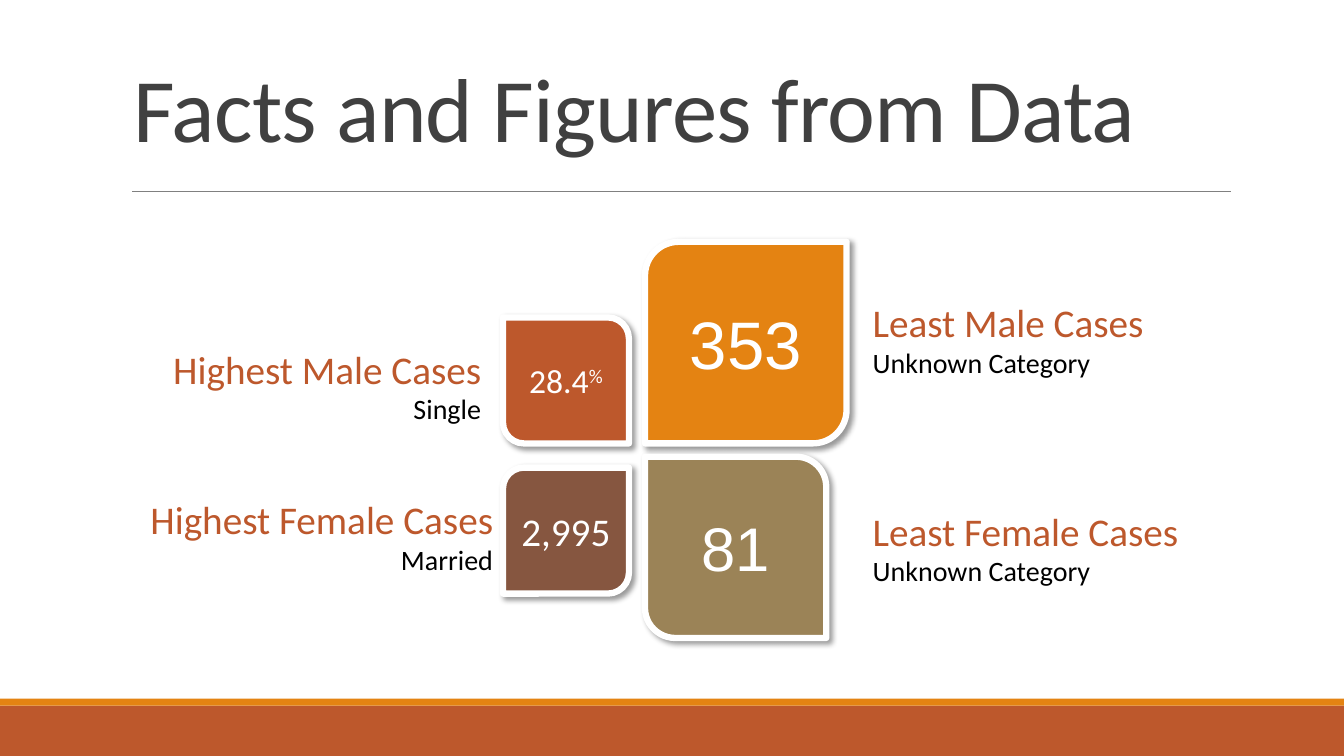
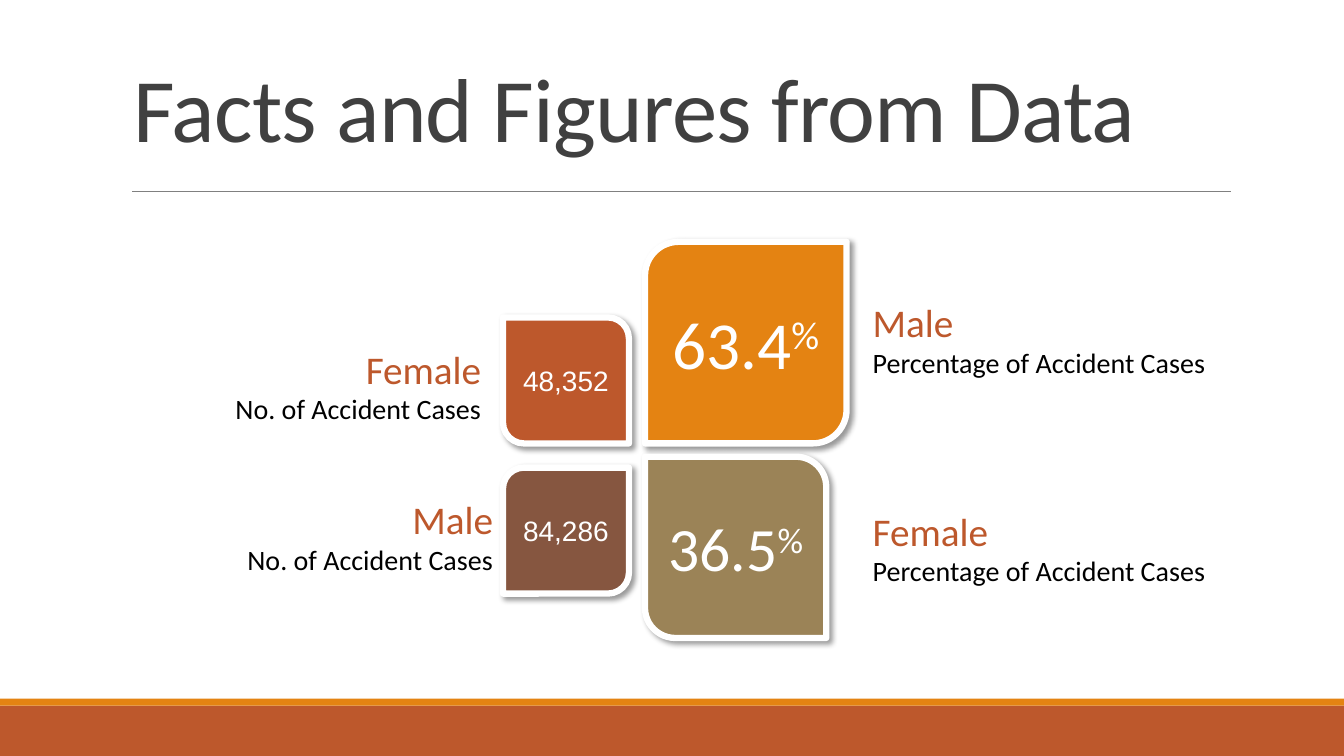
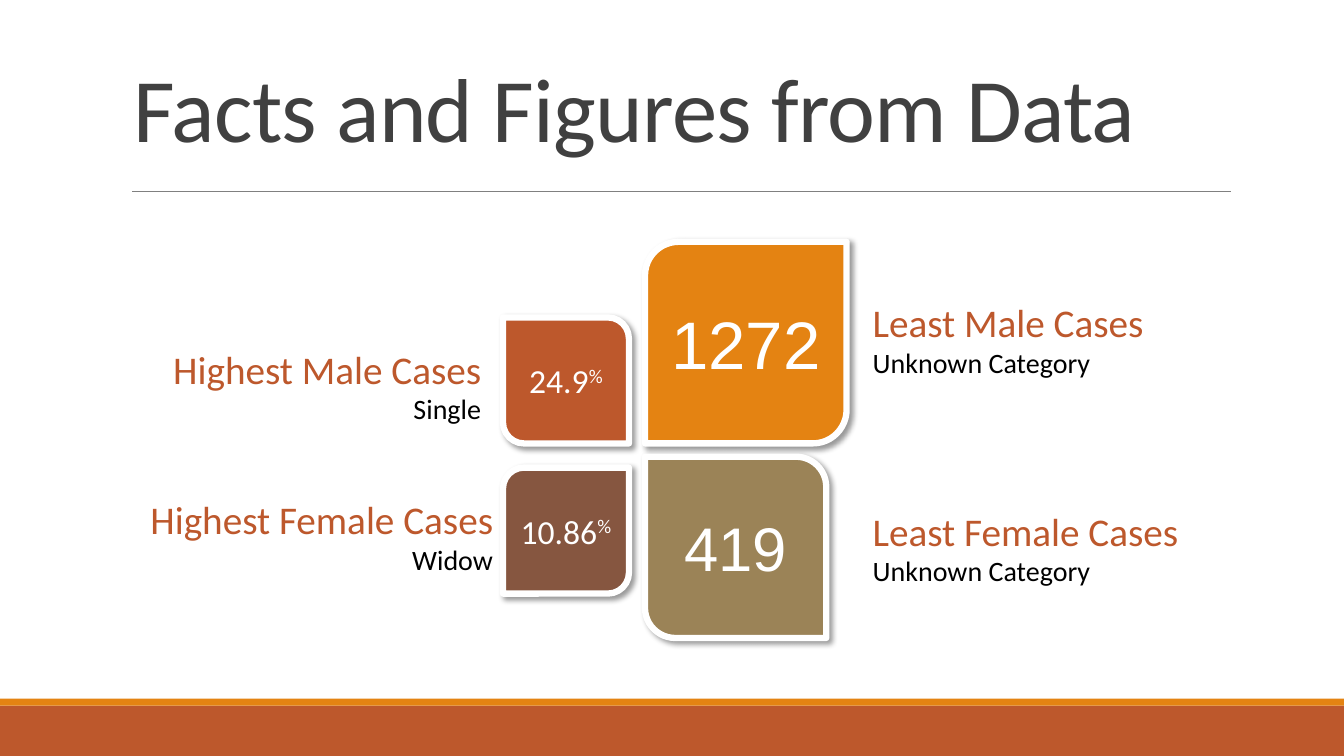
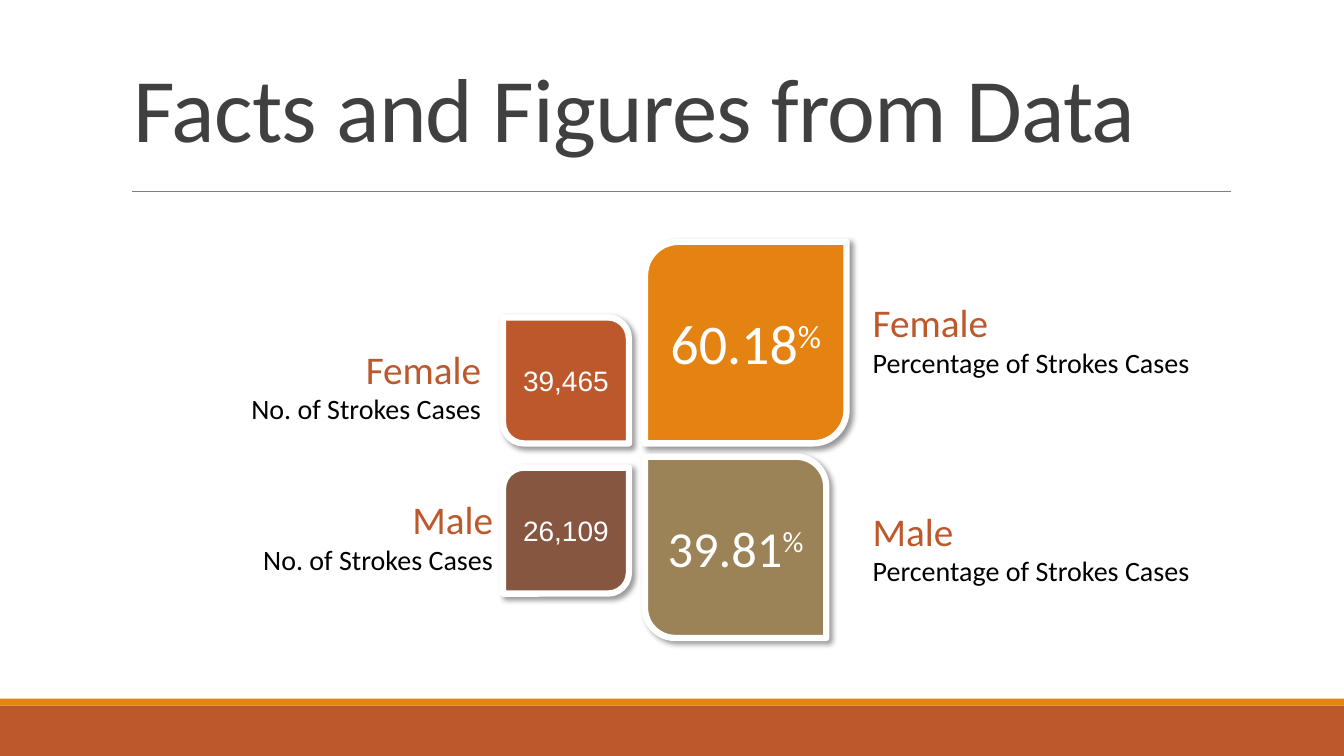
from lxml import etree
from pptx import Presentation
from pptx.dml.color import RGBColor
from pptx.enum.shapes import MSO_CONNECTOR, MSO_SHAPE
from pptx.enum.text import MSO_ANCHOR, MSO_AUTO_SIZE, PP_ALIGN
from pptx.oxml.ns import qn
from pptx.util import Pt

LEFT, MID, RIGHT = PP_ALIGN.LEFT, PP_ALIGN.CENTER, PP_ALIGN.RIGHT
LOW, CENTRE = MSO_ANCHOR.BOTTOM, MSO_ANCHOR.MIDDLE
FIXED, GROW = MSO_AUTO_SIZE.NONE, MSO_AUTO_SIZE.SHAPE_TO_FIT_TEXT
RECT, LEAF = MSO_SHAPE.RECTANGLE, MSO_SHAPE.ROUND_2_DIAG_RECTANGLE
STRAIGHT = MSO_CONNECTOR.STRAIGHT
SANS, PLAIN = "Calibri", "Arial"
WIDE, HIGH = 960, 540
CURVE = 0.167
LABEL_W, LABEL_H = 264, 65.5

COLORS = {
    "rust": "BD582C", "orange": "E48312", "brown": "865640", "tan": "9B8357",
    "white": "FFFFFF", "black": "000000", "dark": "404040", "grey": "808080",
}

# Tile: left, top, side, fill, mirrored; label: left, top, alignment
SPOTS = [
    ((359.25, 226.75, 90, "rust", True), (350.75 - LABEL_W, 242.75, RIGHT)),
    ((359.25, 334, 90, "brown", False), (359.25 - LABEL_W, 350, RIGHT)),
    ((460.75, 172.75, 144, "orange", False), (616.25, 209.5, LEFT)),
    ((460.75, 326.25, 129.5, "tan", True), (616.25, 358.5, LEFT)),
]

# Per slide, in the order of SPOTS: value, size, font, heading, note
TITLE = "Facts and Figures from Data"
SLIDES = [
    [("28.4%", 24, SANS, "Highest Male Cases", "Single"),
     ("2,995", 28, SANS, "Highest Female Cases", "Married"),
     ("353", 48, PLAIN, "Least Male Cases", "Unknown Category"),
     ("81", 44, PLAIN, "Least Female Cases", "Unknown Category")],
    [("48,352", 20, PLAIN, "Female", "No. of Accident Cases"),
     ("84,286", 20, PLAIN, "Male", "No. of Accident Cases"),
     ("63.4%", 48, SANS, "Male", "Percentage of Accident Cases"),
     ("36.5%", 44, SANS, "Female", "Percentage of Accident Cases")],
    [("24.9%", 24, SANS, "Highest Male Cases", "Single"),
     ("10.86%", 24, SANS, "Highest Female Cases", "Widow"),
     ("1272", 48, PLAIN, "Least Male Cases", "Unknown Category"),
     ("419", 44, PLAIN, "Least Female Cases", "Unknown Category")],
    [("39,465", 20, PLAIN, "Female", "No. of Strokes Cases"),
     ("26,109", 20, PLAIN, "Male", "No. of Strokes Cases"),
     ("60.18%", 40, SANS, "Female", "Percentage of Strokes Cases"),
     ("39.81%", 36, SANS, "Male", "Percentage of Strokes Cases")],
]


def tint(name):
    return RGBColor.from_string(COLORS[name])


def points(*nums):
    return [Pt(num) for num in nums]


def assign(item, **form):
    for key, val in form.items():
        setattr(item, key, val)


def cast(shape):
    """Give the shape a soft black shadow to the lower right."""
    shape.shadow.inherit = False
    fx = shape._element.spPr.find(qn("a:effectLst"))
    shade = etree.SubElement(
        fx, qn("a:outerShdw"), blurRad=str(Pt(4)), dist=str(Pt(3)),
        dir="2700000", algn="tl", rotWithShape="0")
    color = etree.SubElement(shade, qn("a:srgbClr"), val=COLORS["black"])
    etree.SubElement(color, qn("a:alpha"), val="40000")


class Deck:
    def __init__(self):
        self.prs = Presentation()
        assign(self.prs, slide_width=Pt(WIDE), slide_height=Pt(HIGH))

    def start(self, title):
        """Add a slide with its bands, rule and title."""
        self.slide = self.prs.slides.add_slide(self.prs.slide_layouts[5])
        self.band(504, 36, "rust")
        self.band(499, 5, "orange")
        self.rule(94.5, 879, 137)
        self.title(title)

    def add_text(self, par, text, size, color, font=SANS, **attrs):
        run = par.add_run()
        run.text = text
        assign(run.font, size=Pt(size), name=font, bold=False)
        run.font.color.rgb = tint(color)
        for key, val in attrs.items():
            run._r.get_or_add_rPr().set(key, val)

    def band(self, top, high, color):
        bar = self.slide.shapes.add_shape(RECT, *points(0, top, WIDE, high))
        bar.shadow.inherit = False
        bar.fill.solid()
        bar.fill.fore_color.rgb = tint(color)
        bar.line.fill.background()

    def rule(self, left, right, top):
        line = self.slide.shapes.add_connector(
            STRAIGHT, *points(left, top, right, top))
        line.line.color.rgb = tint("grey")
        line.line.width = Pt(0.5)
        etree.SubElement(line._element.spPr, qn("a:effectLst"))

    def title(self, text):
        box = self.slide.shapes.title
        left, top, width, height = points(88, 55.5, 792, 63.25)
        assign(box, left=left, top=top, width=width, height=height)
        assign(box.text_frame, auto_size=FIXED, word_wrap=True,
               vertical_anchor=LOW)
        par = box.text_frame.paragraphs[0]
        assign(par, alignment=LEFT, line_spacing=0.85)
        self.add_text(par, text, 64.8, "dark", spc="-50")

    def tile(self, spot, value, size, font):
        left, top, side, color, mirror = spot
        leaf = self.slide.shapes.add_shape(LEAF, *points(left, top, side, side))
        for num, bend in enumerate((0, CURVE) if mirror else (CURVE, 0)):
            leaf.adjustments[num] = bend
        leaf.fill.solid()
        leaf.fill.fore_color.rgb = tint(color)
        leaf.line.color.rgb = tint("white")
        leaf.line.width = Pt(4.5)
        cast(leaf)
        assign(leaf.text_frame, word_wrap=True, vertical_anchor=CENTRE)
        par = leaf.text_frame.paragraphs[0]
        par.alignment = MID
        num, unit, _ = value.partition("%")
        self.add_text(par, num, size, "white", font)
        if unit:
            self.add_text(par, unit, size, "white", font, baseline="30000")

    def label(self, spot, head, note):
        left, top, side = spot
        box = self.slide.shapes.add_textbox(
            *points(left, top, LABEL_W, LABEL_H))
        frame = box.text_frame
        assign(frame, word_wrap=True, auto_size=GROW)
        pars = frame.paragraphs[0], frame.add_paragraph()
        lines = (head, 28, "rust"), (note, 20, "black")
        for par, line in zip(pars, lines):
            par.alignment = side
            self.add_text(par, *line)


def main():
    deck = Deck()
    for facts in SLIDES:
        deck.start(TITLE)
        for (tile, label), fact in zip(SPOTS, facts):
            value, size, font, head, note = fact
            deck.tile(tile, value, size, font)
            deck.label(label, head, note)
    deck.prs.save("out.pptx")


if __name__ == "__main__":
    main()
